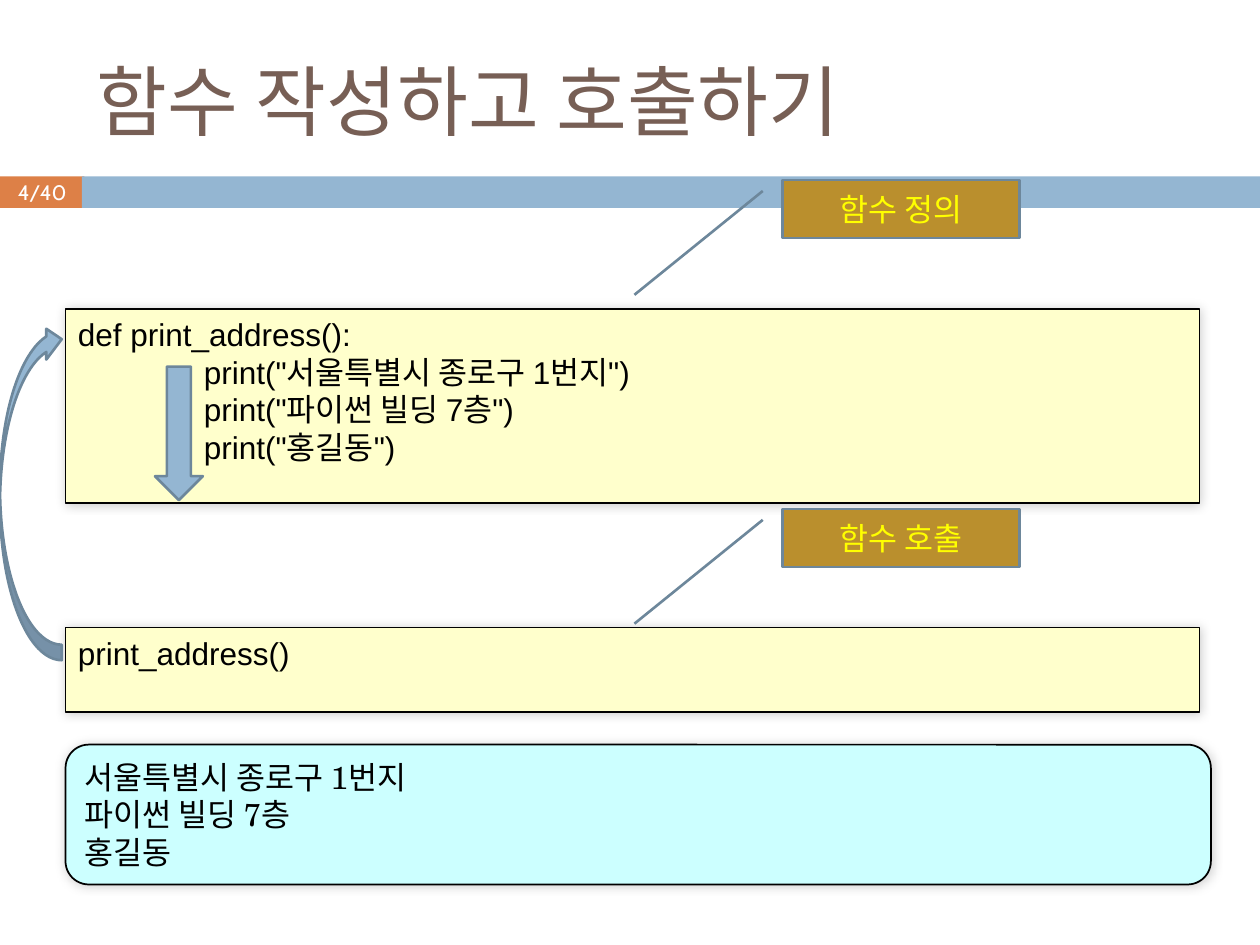
import pptx
import pptx.dml.color
import pptx.enum.shapes
import pptx.enum.text
import pptx.oxml
import pptx.oxml.ns
import pptx.util
from pptx.util import Inches

SHAPE = pptx.enum.shapes.MSO_SHAPE
ALIGN = pptx.enum.text.PP_ALIGN
ANCHOR = pptx.enum.text.MSO_ANCHOR
COLORS = {
    "orange": "DD8047", "blue": "94B6D2", "brown": "775F55", "code": "FFFFCC",
    "output": "CCFFFF", "label": "BA8F2D", "edge": "6D879B",
    "black": "000000", "white": "FFFFFF", "yellow": "FFFF00",
}


def color(name):
    return pptx.dml.color.RGBColor.from_string(COLORS[name])


def write(box, lines, size, font, ink, align=ALIGN.LEFT, anchor=ANCHOR.TOP):
    frame = box.text_frame
    for name, value in {"word_wrap": True, "vertical_anchor": anchor}.items():
        setattr(frame, name, value)
    for index, line in enumerate(lines):
        para = frame.paragraphs[0] if index == 0 else frame.add_paragraph()
        para.alignment = align
        span = para.add_run()
        span.text = line
        for name, value in {"size": pptx.util.Pt(size), "name": font}.items():
            setattr(span.font, name, value)
        span.font.color.rgb = color(ink)


def set_tab_stop(box, position):
    for para in box.text_frame.paragraphs:
        para._p.get_or_add_pPr().append(pptx.oxml.parse_xml(
            f'<a:tabLst {pptx.oxml.ns.nsdecls("a")}>'
            f'<a:tab pos="{Inches(position)}" algn="l"/></a:tabLst>'))


def add_block(page, kind, area, fill, edge=None, weight=1):
    block = page.shapes.add_shape(kind, *map(Inches, area))
    block.shadow.inherit = False
    block.fill.solid()
    block.fill.fore_color.rgb = color(fill)
    if edge:
        block.line.color.rgb = color(edge)
        block.line.width = pptx.util.Pt(weight)
    else:
        block.line.fill.background()
    return block


def add_soft_shadow(block):
    effects = block.element.spPr.find(pptx.oxml.ns.qn("a:effectLst"))
    effects.append(pptx.oxml.parse_xml(
        f'<a:outerShdw {pptx.oxml.ns.nsdecls("a")} blurRad="{pptx.util.Pt(6)}" '
        f'dist="0" dir="{315 * 60000}" algn="tl" rotWithShape="0">'
        f'<a:srgbClr val="{COLORS["black"]}"><a:alpha val="20000"/></a:srgbClr>'
        '</a:outerShdw>'))


def add_header(page, left, top, width, title, number):
    # Coloured band with the page number, title above it
    badge = add_block(page, SHAPE.RECTANGLE, (left, top + 1.4, 0.67, 0.25), "orange")
    for side in ("left", "right", "top", "bottom"):
        setattr(badge.text_frame, f"margin_{side}", 0)
    write(badge, [number], 12, "Cabin", "white", ALIGN.CENTER, ANCHOR.MIDDLE)
    add_block(page, SHAPE.RECTANGLE, (left + 0.65, top + 1.4, width - 0.65, 0.25), "blue")
    heading = page.shapes.add_textbox(
        *map(Inches, (left + 0.67, top + 0.25, 8.92, 1.08)))
    write(heading, [title], 44, "Cabin", "brown", anchor=ANCHOR.MIDDLE)


def add_panel(page, area, lines, kind=SHAPE.RECTANGLE, fill="code", font="Arial"):
    panel = add_block(page, kind, area, fill, "black")
    add_soft_shadow(panel)
    write(panel, lines, 18, font, "black")
    return panel


def add_callout(page, left, top, label):
    callout = add_block(page, SHAPE.LINE_CALLOUT_1, (left, top, 1.88, 0.46),
                        "label", "edge", 1.5)
    for index, value in enumerate((3 / 16, -1 / 12, 1.98, -5 / 8)):
        callout.adjustments[index] = value
    write(callout, [label], 18, "Noto Sans CJK KR", "yellow",
          ALIGN.CENTER, ANCHOR.MIDDLE)


def add_flow_arrows(page, left, top):
    # Jump from the call up to the definition, then down through its body
    jump = add_block(page, SHAPE.CURVED_RIGHT_ARROW, (left, top, 0.49, 2.67),
                     "blue", "edge", 1.5)
    jump.element.spPr.xfrm.set("flipV", "1")
    add_block(page, SHAPE.DOWN_ARROW, (left + 1.23, top + 0.34, 0.38, 1.06),
              "blue", "edge", 1.5)


def main():
    deck = pptx.Presentation()
    deck.slide_width, deck.slide_height = Inches(10), Inches(7.5)
    page = deck.slides.add_slide(deck.slide_layouts[6])
    address = ["서울특별시 종로구 1번지", "파이썬 빌딩 7층", "홍길동"]

    add_header(page, 0, 0, 10, "함수 작성하고 호출하기", "4/40")

    # Definition, call and output
    body = [f'\tprint("{line}")' for line in address]
    definition = add_panel(page, (0.52, 2.45, 9, 1.54),
                           ["def print_address():"] + body)
    set_tab_stop(definition, 1)
    add_panel(page, (0.52, 4.98, 9, 0.67), ["print_address()"])
    add_panel(page, (0.52, 5.91, 9.09, 1.11), address,
              SHAPE.FLOWCHART_ALTERNATE_PROCESS, "output", "TeX Gyre Schola")

    # Labels and arrows
    for top, label in ((1.43, "함수 정의"), (4.04, "함수 호출")):
        add_callout(page, 6.21, top, label)
    add_flow_arrows(page, 0, 2.57)

    deck.save("out.pptx")


if __name__ == "__main__":
    main()
